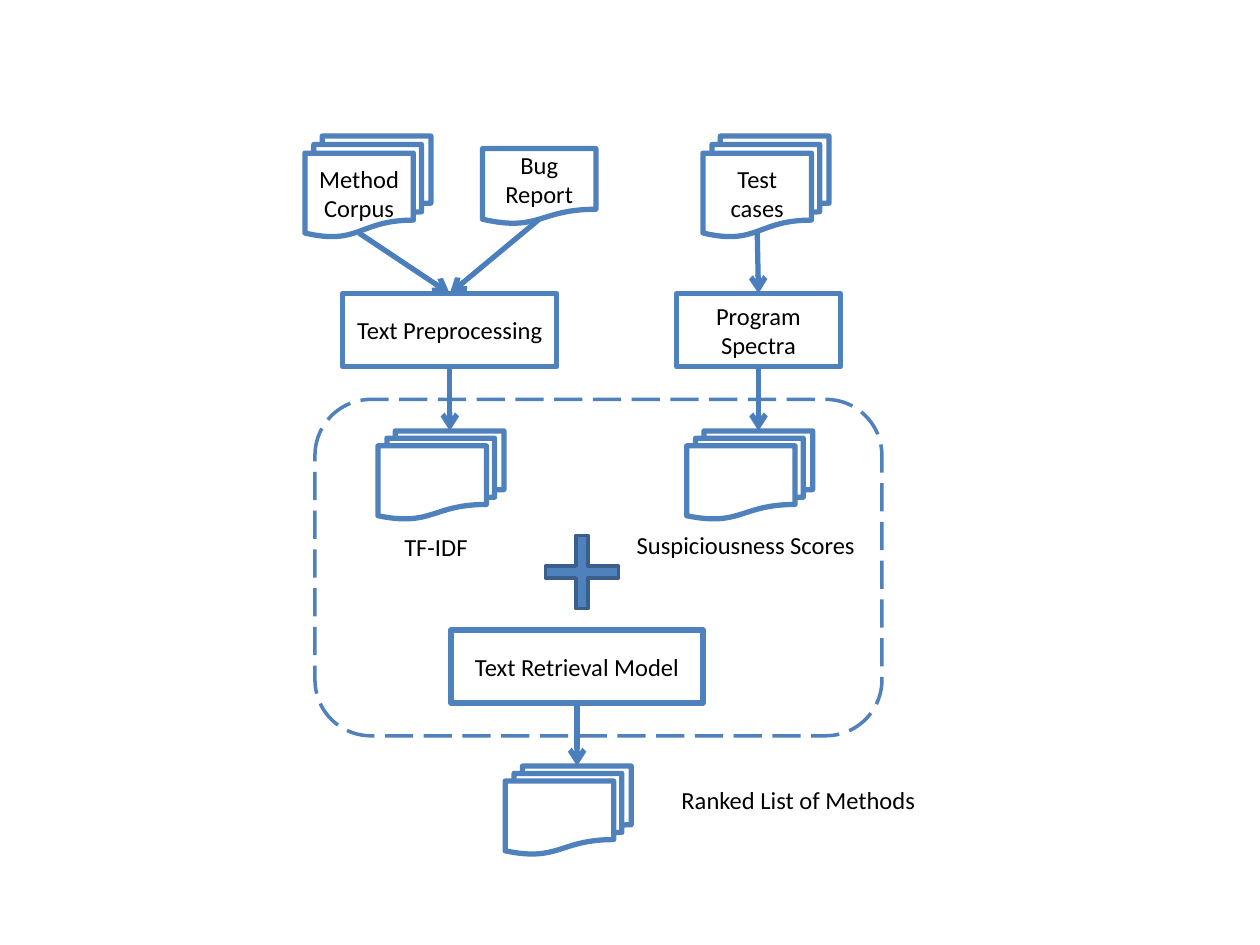
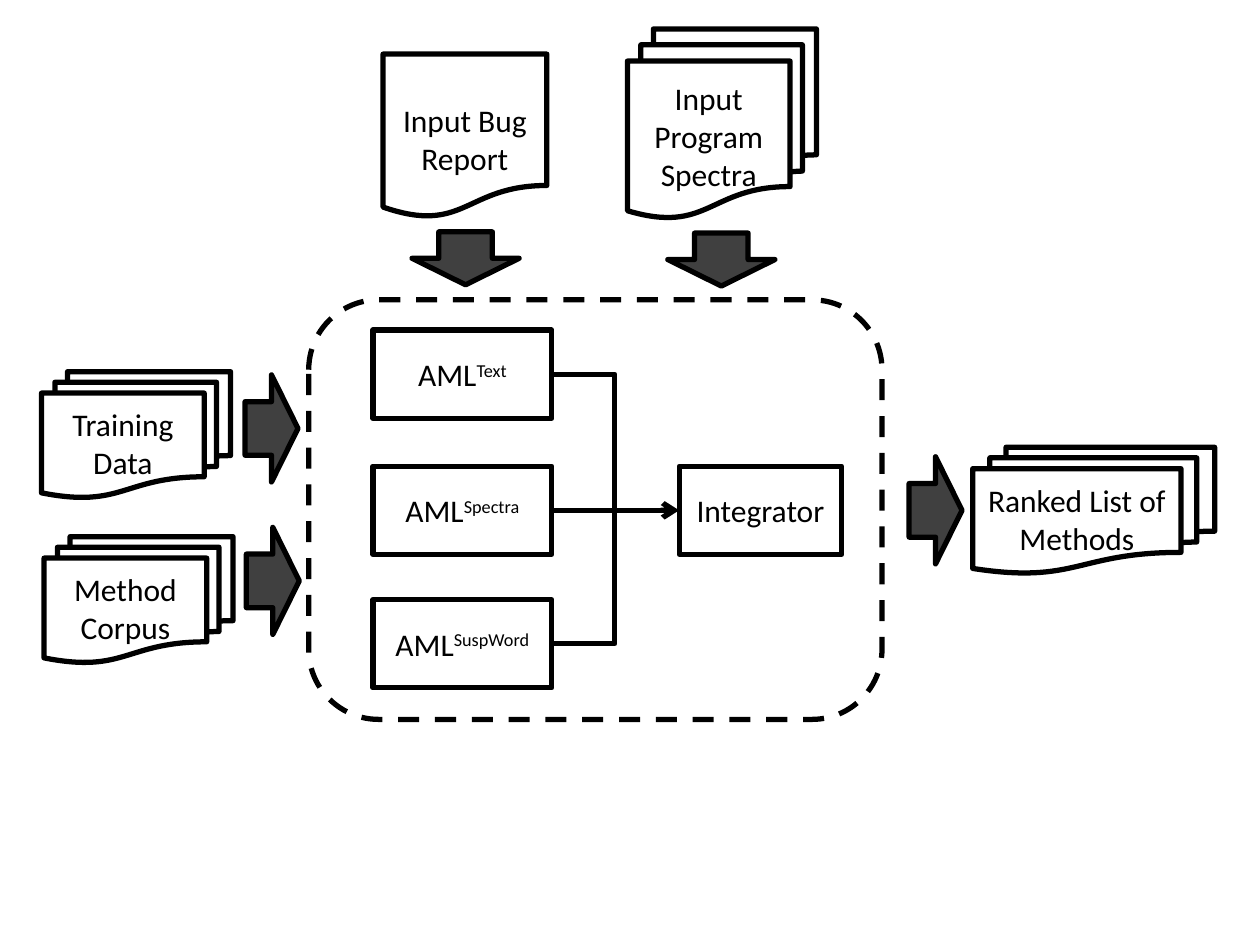
from lxml import etree
from pptx import Presentation
from pptx.dml.color import RGBColor
from pptx.enum.dml import MSO_LINE
from pptx.enum.shapes import MSO_CONNECTOR, MSO_SHAPE
from pptx.enum.text import MSO_ANCHOR, PP_ALIGN
from pptx.oxml.ns import qn
from pptx.util import Inches, Pt

COLORS = {"white": "FFFFFF", "black": "000000", "blue": "4F81BD",
          "edge": "3A5F8C", "link": "4B7EBC", "gray": "404040"}
FONT = "Calibri"
DOC, STACK = MSO_SHAPE.FLOWCHART_DOCUMENT, MSO_SHAPE.FLOWCHART_MULTIDOCUMENT
RECT, ROUND = MSO_SHAPE.RECTANGLE, MSO_SHAPE.ROUNDED_RECTANGLE

# Slide 1: retrieval pipeline (kind, left, top, width, height, text)
PIPELINE = [
    (STACK, 2.42, 1.08, 1, 0.8, "Method Corpus"),
    (DOC, 3.83, 1.18, 0.9, 0.6, "Bug Report"),
    (STACK, 5.58, 1.08, 1, 0.8, "Test cases"),
    (RECT, 2.72, 2.33, 1.7, 0.58, "Text Preprocessing"),
    (RECT, 5.37, 2.33, 1.3, 0.58, "Program Spectra"),
    (RECT, 3.58, 5, 2, 0.58, "Text Retrieval Model"),
    (STACK, 3, 3.42, 1, 0.7, ""),
    (STACK, 5.45, 3.42, 1, 0.7, ""),
    (STACK, 4.01, 6.08, 1, 0.7, ""),
]
LABELS = [  # text, left, top, width, alignment, wrap
    ("TF-IDF", 2.75, 4.17, 1.42, PP_ALIGN.CENTER, True),
    ("Suspiciousness Scores", 4.92, 4.16, 2, PP_ALIGN.CENTER, True),
    ("Ranked List of Methods", 5.31, 6.18, 2.08, PP_ALIGN.LEFT, False),
]
FLOWS = [  # x1, y1, x2, y2
    (2.85, 1.85, 3.57, 2.33), (4.28, 1.74, 3.57, 2.33),
    (6.01, 1.85, 6.02, 2.33), (3.57, 2.92, 3.57, 3.42),
    (6.02, 2.92, 6.02, 3.42), (4.58, 5.58, 4.58, 6.08),
]

# Slide 2: inputs, learners, integrator and output
DOCUMENTS = [
    (STACK, 0.35, 4.26, 1.5, 1, "Method Corpus"),
    (STACK, 4.98, 0.23, 1.5, 1.5, "Input Program Spectra"),
    (STACK, 0.33, 2.95, 1.5, 1, "Training Data"),
    (STACK, 7.72, 3.55, 1.92, 1, "Ranked List of Methods"),
]
LEARNERS = [("Text", 2.62), ("Spectra", 3.7), ("SuspWord", 4.76)]
LEARNER_X, INTEGRATOR_X, BUS_X = 2.96, 5.39, 4.88
LEARNER_W, BOX_H = 1.42, 0.7
BLOCK_ARROWS = [  # left, top, rotation
    (3.27, 1.84, 0), (5.3, 1.85, 0),
    (1.73, 3.19, 270), (1.74, 4.4, 270), (7, 3.84, 270),
]


def rgb(name):
    return RGBColor.from_string(COLORS[name])


def set_font(p, size):
    p.font.name, p.font.size = FONT, Pt(size)
    p.font.color.rgb = rgb("black")


def add_box(shapes, kind, x, y, w, h, text="", raised="", size=14,
            fill="white", line="blue", weight=3, dash=None):
    sp = shapes.add_shape(kind, Inches(x), Inches(y), Inches(w), Inches(h))
    sp.shadow.inherit = False
    sp.fill.solid()
    sp.fill.fore_color.rgb = rgb(fill)
    sp.line.color.rgb, sp.line.width = rgb(line), Pt(weight)
    if dash:
        sp.line.dash_style = dash
    if text:
        tf = sp.text_frame
        tf.word_wrap, tf.vertical_anchor = True, MSO_ANCHOR.MIDDLE
        p = tf.paragraphs[0]
        p.alignment = PP_ALIGN.CENTER
        set_font(p, size)
        p.add_run().text = text
        if raised:
            r = p.add_run()
            r.text = raised
            r.font._element.set("baseline", "30000")
    return sp


def add_line(shapes, x1, y1, x2, y2, color, kind=MSO_CONNECTOR.STRAIGHT, arrow=True):
    c = shapes.add_connector(kind, Inches(x1), Inches(y1), Inches(x2), Inches(y2))
    c.line.color.rgb, c.line.width = rgb(color), Pt(3)
    if arrow:
        etree.SubElement(c.line._get_or_add_ln(), qn("a:tailEnd"), type="arrow")
    etree.SubElement(c._element.spPr, qn("a:effectLst"))
    return c


def set_bend(connector, share):
    geom = connector._element.spPr.find(qn("a:prstGeom"))
    guides = geom.find(qn("a:avLst"))
    if guides is None:
        guides = etree.SubElement(geom, qn("a:avLst"))
    etree.SubElement(guides, qn("a:gd"), name="adj1", fmla=f"val {round(share * 100000)}")


prs = Presentation()
prs.slide_width, prs.slide_height = Inches(10), Inches(7.5)
blank = prs.slide_layouts[6]

# Slide 1: frame, boxes, plus sign
s = prs.slides.add_slide(blank)
add_box(s.shapes, ROUND, 2.5, 3.17, 4.5, 2.67, weight=2, dash=MSO_LINE.LONG_DASH)
for box in PIPELINE:
    add_box(s.shapes, *box)
plus = add_box(s.shapes, MSO_SHAPE.CROSS, 4.33, 4.25, 0.58, 0.58,
               fill="blue", line="edge", weight=2)
plus.adjustments[0] = 0.418

# Slide 1: labels and arrows
for text, x, y, w, align, wrap in LABELS:
    tf = s.shapes.add_textbox(Inches(x), Inches(y), Inches(w), Inches(0.34)).text_frame
    tf.word_wrap = wrap
    p = tf.paragraphs[0]
    p.text, p.alignment = text, align
    set_font(p, 14)
for flow in FLOWS:
    add_line(s.shapes, *flow, "link")

# Slide 2: frame and boxes in one group
s = prs.slides.add_slide(blank)
shapes = s.shapes.add_group_shape().shapes
style = {"size": 18, "line": "black"}
add_box(shapes, ROUND, 2.45, 2.38, 4.55, 3.33, dash=MSO_LINE.DASH, **style)
for name, y in LEARNERS:
    add_box(shapes, RECT, LEARNER_X, y, LEARNER_W, BOX_H, "AML", name, **style)
add_box(shapes, RECT, INTEGRATOR_X, 3.7, 1.29, BOX_H, "Integrator", **style)
report = add_box(shapes, DOC, 3.04, 0.43, 1.3, 1.3, "Input Bug Report", **style)
report.text_frame.margin_top = Inches(0.35)
for document in DOCUMENTS:
    add_box(shapes, *document, **style)

# Slide 2: learners joined into the integrator
start = LEARNER_X + LEARNER_W
top, middle, bottom = (y + BOX_H / 2 for _, y in LEARNERS)
joint = add_line(shapes, start, top, INTEGRATOR_X, middle, "black", MSO_CONNECTOR.ELBOW)
set_bend(joint, (BUS_X - start) / (INTEGRATOR_X - start))
add_line(shapes, start, middle, BUS_X, middle, "black", arrow=False)
joint = add_line(shapes, start, bottom, BUS_X, middle, "black",
                 MSO_CONNECTOR.ELBOW, arrow=False)
set_bend(joint, 1)

# Slide 2: block arrows
for x, y, turn in BLOCK_ARROWS:
    arrow = add_box(shapes, MSO_SHAPE.DOWN_ARROW, x, y, 0.85, 0.42, fill="gray", line="black")
    arrow.rotation = turn

prs.save("out.pptx")
